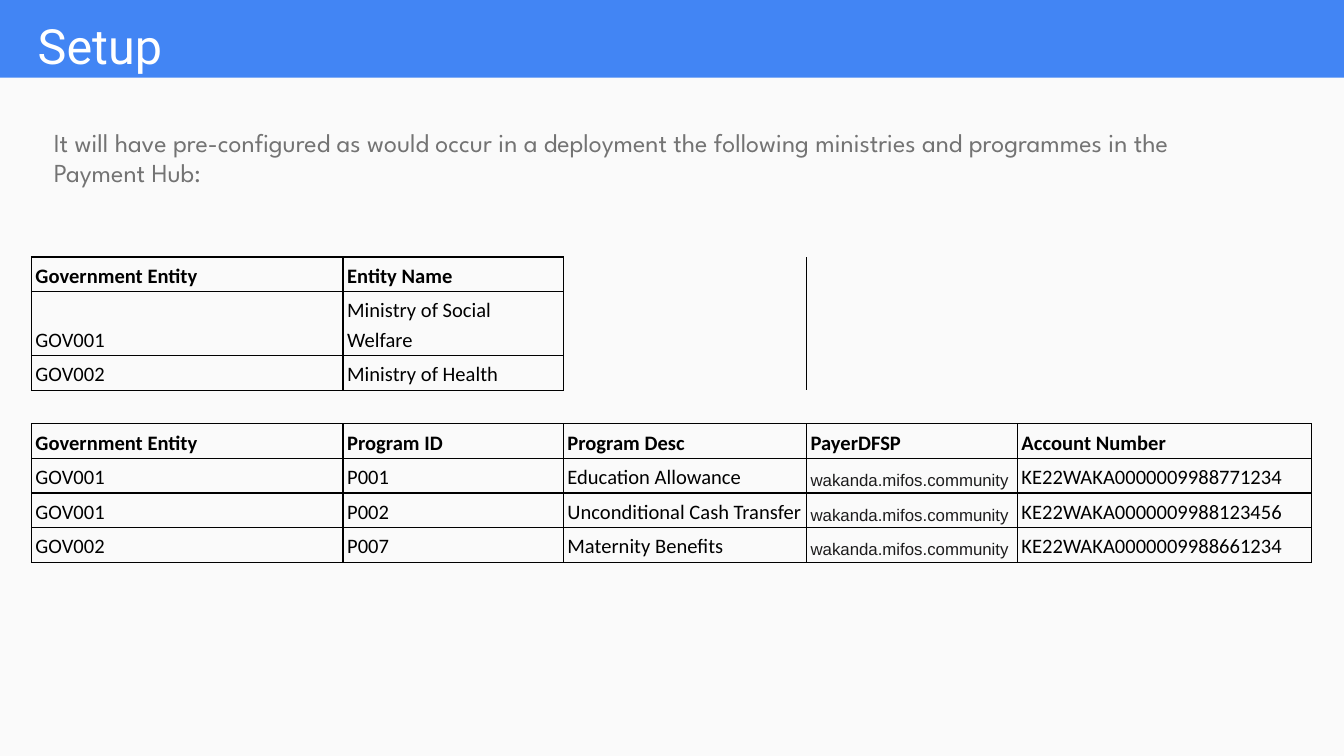
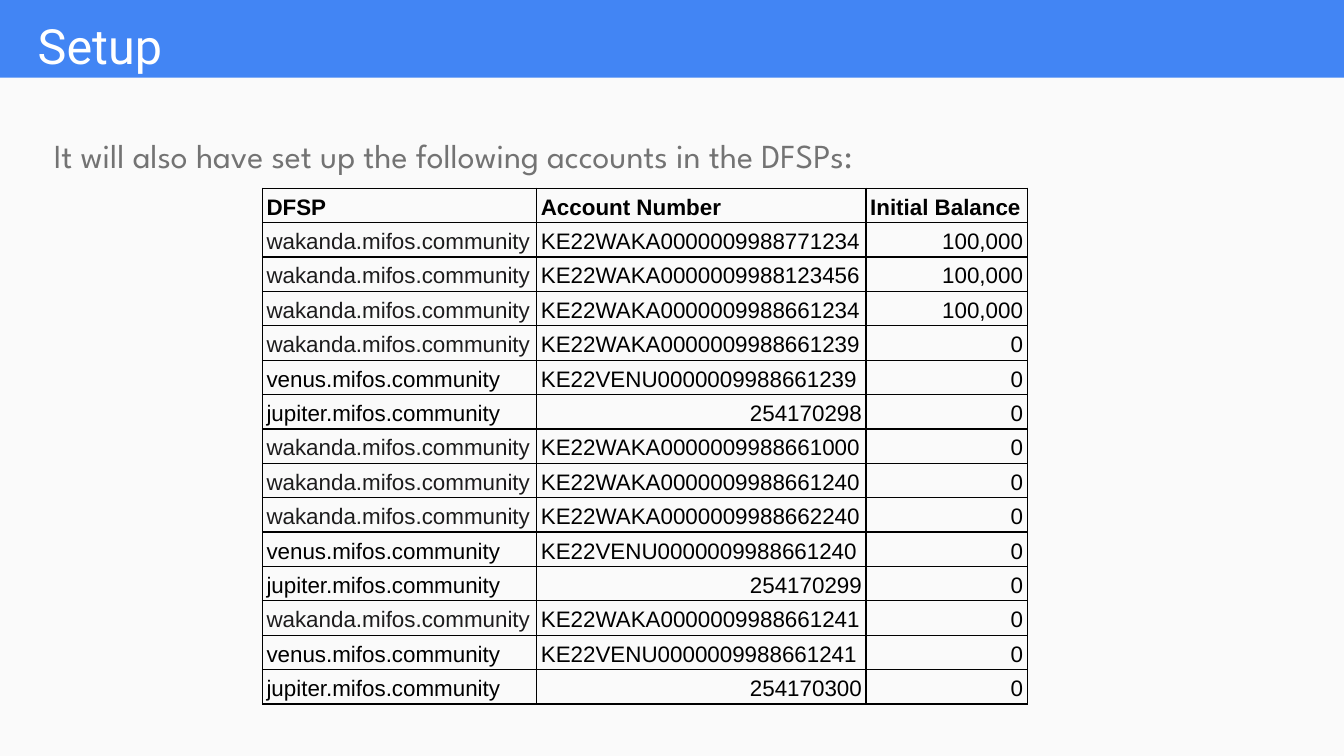
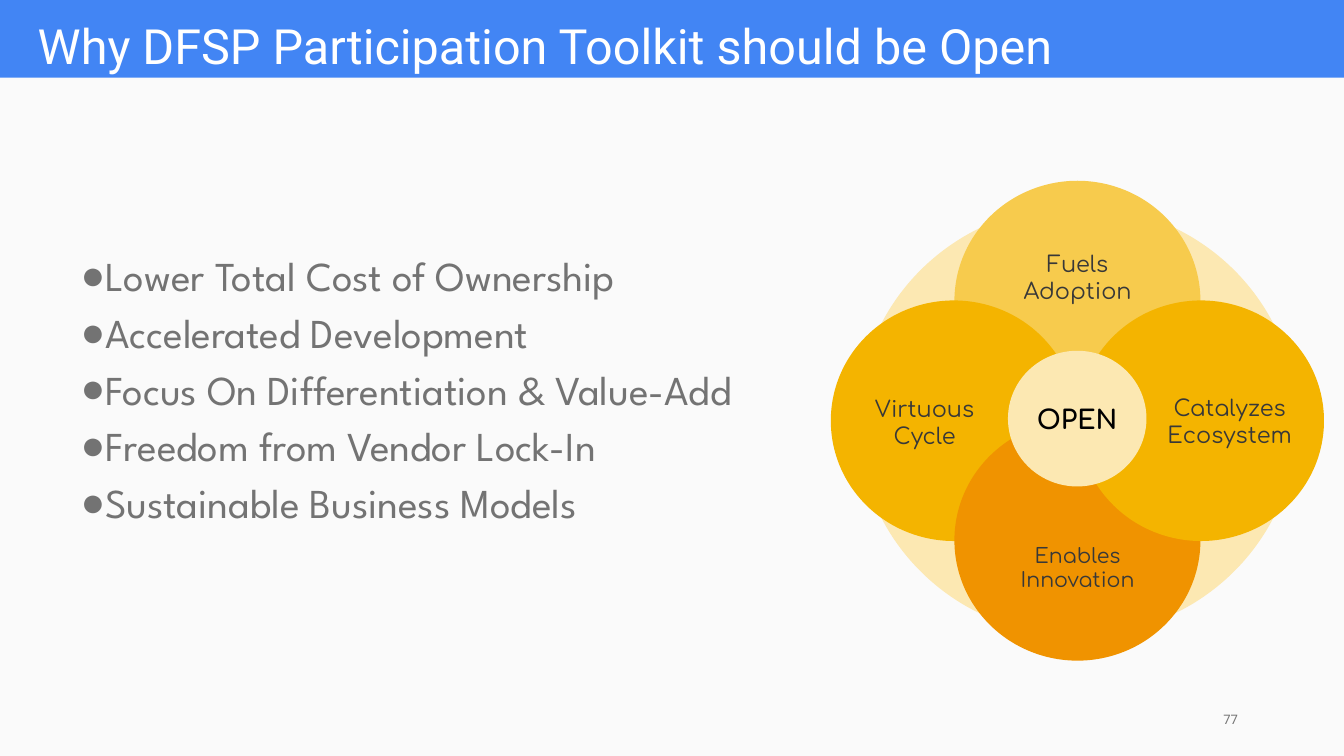
from lxml.etree import SubElement
from pptx import Presentation
from pptx.dml.color import RGBColor
from pptx.enum.shapes import MSO_SHAPE as Shape
from pptx.enum.text import MSO_ANCHOR as Anchor, MSO_AUTO_SIZE as AutoSize, PP_ALIGN as Align
from pptx.oxml.ns import qn
from pptx.util import Pt

# Shared look
BLUE = RGBColor(0x42, 0x85, 0xF4)
PAPER = RGBColor(0xFA, 0xFA, 0xFA)
WHITE = RGBColor(0xFF, 0xFF, 0xFF)
BLACK = RGBColor(0x00, 0x00, 0x00)
GRAY = RGBColor(0x73, 0x73, 0x73)
INK = RGBColor(0x1D, 0x1C, 0x1D)
CHARCOAL = RGBColor(0x38, 0x38, 0x38)
CREAM = RGBColor(0xFC, 0xE8, 0xB2)
YELLOW = RGBColor(0xF7, 0xCB, 0x4D)
AMBER = RGBColor(0xF4, 0xB4, 0x00)
ORANGE = RGBColor(0xF0, 0x93, 0x00)

SLIDE_WIDTH, SLIDE_HEIGHT, BAND_HEIGHT = 720, 405, 41.6
TITLE_BOX = (13, -13.7, 647.3, 60.5)
INTRO_BOX = (21.6, 61.9, 647.3, 60.5)
LIST_BOX = (36, 85, 373.7, 257)
NUMBER_BOX = (508.3, 375.1, 162, 21.6)
INSET, LABEL_INSET = 7.2, 2.9
NO_STYLE = "{2D5ABB26-0587-4C30-8999-92F81FD0307C}"

# Content
SETUP_TITLE = "Setup"
PROGRAM_INTRO = ("It will have pre-configured as would occur in a deployment the following "
                 "ministries and programmes in the Payment Hub:")
WAKANDA, VENUS, JUPITER = (f"{name}.mifos.community" for name in ("wakanda", "venus", "jupiter"))
PROGRAM_ROWS = [
    ("Government Entity", "Entity Name", "", "", ""),
    ("GOV001", "Ministry of Social Welfare", "", "", ""),
    ("GOV002", "Ministry of Health", "", "", ""),
    ("", "", "", "", ""),
    ("Government Entity", "Program ID", "Program Desc", "PayerDFSP", "Account Number"),
    ("GOV001", "P001", "Education Allowance", WAKANDA, "KE22WAKA0000009988771234"),
    ("GOV001", "P002", "Unconditional Cash Transfer", WAKANDA, "KE22WAKA0000009988123456"),
    ("GOV002", "P007", "Maternity Benefits", WAKANDA, "KE22WAKA0000009988661234"),
]
ACCOUNT_INTRO = "It will also have set up the following accounts in the DFSPs:"
ACCOUNT_ROWS = [
    ("DFSP", "Account Number", "Initial Balance"),
    (WAKANDA, "KE22WAKA0000009988771234", "100,000"),
    (WAKANDA, "KE22WAKA0000009988123456", "100,000"),
    (WAKANDA, "KE22WAKA0000009988661234", "100,000"),
    (WAKANDA, "KE22WAKA0000009988661239", "0"),
    (VENUS, "KE22VENU0000009988661239", "0"),
    (JUPITER, "254170298", "0"),
    (WAKANDA, "KE22WAKA0000009988661000", "0"),
    (WAKANDA, "KE22WAKA0000009988661240", "0"),
    (WAKANDA, "KE22WAKA0000009988662240", "0"),
    (VENUS, "KE22VENU0000009988661240", "0"),
    (JUPITER, "254170299", "0"),
    (WAKANDA, "KE22WAKA0000009988661241", "0"),
    (VENUS, "KE22VENU0000009988661241", "0"),
    (JUPITER, "254170300", "0"),
]
OPEN_TITLE = "Why DFSP Participation Toolkit should be Open"
BENEFITS = ["Lower Total Cost of Ownership", "Accelerated Development",
            "Focus On Differentiation & Value-Add", "Freedom from Vendor Lock-In",
            "Sustainable Business Models"]
# Petal: text, colour, text size, direction from the centre, label corner
PETALS = [
    ("Fuels Adoption", YELLOW, 12, (0, -1), (532, 127.4)),
    ("Virtuous Cycle", AMBER, 12, (-1, 0), (450, 205.2)),
    ("Enables Innovation", ORANGE, 11, (0, 1), (532, 283)),
    ("Catalyzes Ecosystem", AMBER, 12, (1, 0), (613.4, 204.5)),
]
FLOWER_CENTER = (577.2, 225.4)
PETAL_SIZE, PETAL_STEP = (131.8, 128.9), (66.2, 64.1)
LABEL_SIZE = (90.7, 41.8)


def points(*lengths):
    return [Pt(length) for length in lengths]


def set_font(para, name, size, color, bold=False):
    font = para.font
    font.name, font.size, font.bold = name, Pt(size), bold
    font.color.rgb = color


def set_frame(frame, inset, anchor):
    frame.word_wrap = True
    frame.auto_size = AutoSize.NONE
    frame.vertical_anchor = anchor
    frame.margin_left = frame.margin_right = Pt(inset)
    frame.margin_top = frame.margin_bottom = Pt(inset)


def place(shape, box):
    shape.left, shape.top, shape.width, shape.height = points(*box)


def add_plain_shape(shapes, kind, box, color):
    shape = shapes.add_shape(kind, *points(*box))
    shape.shadow.inherit = False
    shape.fill.solid()
    shape.fill.fore_color.rgb = color
    shape.line.fill.background()
    return shape


def write_line(shape, text, inset, align, *font):
    set_frame(shape.text_frame, inset, Anchor.MIDDLE)
    para = shape.text_frame.paragraphs[0]
    para.text, para.alignment = text, align
    set_font(para, *font)
    return para


def add_slide(deck, title, body_box, lines, size, spacing, after=0, bullet=False):
    slide = deck.slides.add_slide(deck.slide_layouts[1])
    heading, body = slide.placeholders
    place(heading, TITLE_BOX)
    write_line(heading, title, INSET, Align.LEFT, "Roboto", 26, WHITE)
    heading.text_frame.vertical_anchor = Anchor.BOTTOM

    place(body, body_box)
    frame = body.text_frame
    set_frame(frame, INSET, Anchor.TOP)
    for index, line in enumerate(lines):
        para = frame.add_paragraph() if index else frame.paragraphs[0]
        para.text = line
        props = para._p.get_or_add_pPr()
        props.set("marL", str(Pt(13 if bullet else 0)))
        props.set("indent", str(Pt(-16 if bullet else 0)))
        if bullet:
            SubElement(SubElement(props, qn("a:buClr")), qn("a:srgbClr"), val=str(GRAY))
            SubElement(props, qn("a:buChar"), char="●")
        else:
            SubElement(props, qn("a:buNone"))
        para.alignment = Align.LEFT
        para.line_spacing = spacing
        para.space_before, para.space_after = Pt(0), Pt(after)
        set_font(para, "League Spartan", size, GRAY)
    return slide


def draw_border(cell, side, visible):
    line = SubElement(cell._tc.get_or_add_tcPr(), qn(f"a:ln{side}"), w=str(Pt(0.75)))
    if visible:
        SubElement(SubElement(line, qn("a:solidFill")), qn("a:srgbClr"), val=str(BLACK))
    else:
        SubElement(line, qn("a:noFill"))


def add_grid(slide, box, rows, widths, heights, headers, font, payer_font, extra_edges=()):
    """Rule every edge that touches a filled cell, plus the extra edges."""
    holder = slide.shapes.add_table(len(rows), len(widths), *points(*box))
    table = holder.table
    table.first_row = table.horz_banding = False
    next(holder.element.iter(qn("a:tableStyleId"))).text = NO_STYLE
    for column, width in zip(table.columns, widths):
        column.width = Pt(width)
    for row, height in zip(table.rows, heights):
        row.height = Pt(height)
    holder.height = Pt(box[3])

    filled = {(r, c) for r, row in enumerate(rows) for c, text in enumerate(row) if text}
    for r, row in enumerate(rows):
        for c, text in enumerate(row):
            cell = table.cell(r, c)
            for side, neighbor in (("L", (r, c - 1)), ("R", (r, c + 1)),
                                   ("T", (r - 1, c)), ("B", (r + 1, c))):
                ruled = (r, c) in filled or neighbor in filled
                draw_border(cell, side, ruled or ((r, c), neighbor) in extra_edges
                            or (neighbor, (r, c)) in extra_edges)
            cell.fill.background()
            cell.vertical_anchor = Anchor.BOTTOM
            cell.margin_left = cell.margin_right = Pt(2.2)
            cell.margin_top = cell.margin_bottom = Pt(1.5)
            para = cell.text_frame.paragraphs[0]
            para.line_spacing = 1.15
            if text:
                para.text = text
            else:
                SubElement(para._p, qn("a:endParaRPr"), sz="1100")
            if text.replace(",", "").isdigit():
                para.alignment = Align.RIGHT
            set_font(para, *(payer_font if text == WAKANDA else font), bold=r in headers)


def centered(center, size):
    return (center[0] - size[0] / 2, center[1] - size[1] / 2, *size)


def add_flower(shapes):
    add_plain_shape(shapes, Shape.OVAL, centered(FLOWER_CENTER, (235.4, 230.4)), CREAM)
    for text, color, size, direction, corner in PETALS:
        center = [mid + way * step
                  for mid, way, step in zip(FLOWER_CENTER, direction, PETAL_STEP)]
        petal = shapes.add_group_shape().shapes
        add_plain_shape(petal, Shape.OVAL, centered(center, PETAL_SIZE), color)
        label = petal.add_textbox(*points(*corner, *LABEL_SIZE))
        write_line(label, text, LABEL_INSET, Align.CENTER, "Comfortaa", size, CHARCOAL)
    hub = add_plain_shape(shapes, Shape.OVAL, (540, 187.9, 74.2, 72.7), CREAM)
    write_line(hub, "OPEN", LABEL_INSET, Align.CENTER, "Comfortaa", 14, BLACK, True)


def main():
    deck = Presentation()
    deck.slide_width, deck.slide_height = points(SLIDE_WIDTH, SLIDE_HEIGHT)
    backdrop = deck.slide_master.background.fill
    backdrop.solid()
    backdrop.fore_color.rgb = BLUE

    # Ministries and programmes
    programs = add_slide(deck, SETUP_TITLE, INTRO_BOX, [PROGRAM_INTRO], 13.9, 0.95, after=12)
    add_grid(programs, (16.8, 137.7, 686, 176.4), PROGRAM_ROWS,
             (167, 118, 130.3, 113, 157.7), [18] * 4 + [16.8] * 4, (0, 4),
             ("Calibri", 11, BLACK), ("Arial", 9, INK),
             extra_edges=[((row, 2), (row, 3)) for row in range(3)])

    # Light panel below the title band, shared through the master
    panel = add_plain_shape(programs.shapes, Shape.RECTANGLE,
                            (0, BAND_HEIGHT, SLIDE_WIDTH, SLIDE_HEIGHT - BAND_HEIGHT), PAPER)
    deck.slide_master.shapes.element.insert(2, panel.element)

    # Accounts
    accounts = add_slide(deck, SETUP_TITLE, INTRO_BOX, [ACCOUNT_INTRO], 18, 1.15, after=12)
    add_grid(accounts, (140.6, 100.8, 409.7, 272.2), ACCOUNT_ROWS, (147, 176.4, 86.3),
             [17.5] * len(ACCOUNT_ROWS), (0,), ("Arial", 12, BLACK), ("Arial", 12, INK))

    # Reasons to be open
    reasons = add_slide(deck, OPEN_TITLE, LIST_BOX, BENEFITS, 22, 1.15, bullet=True)
    reasons.placeholders[1].text_frame.margin_top = Pt(45.4)
    number = reasons.shapes.add_textbox(*points(*NUMBER_BOX))
    write_line(number, "77", INSET, Align.RIGHT, "Roboto", 7, GRAY).line_spacing = 0.8
    add_flower(reasons.shapes)

    deck.save("out.pptx")


if __name__ == "__main__":
    main()
